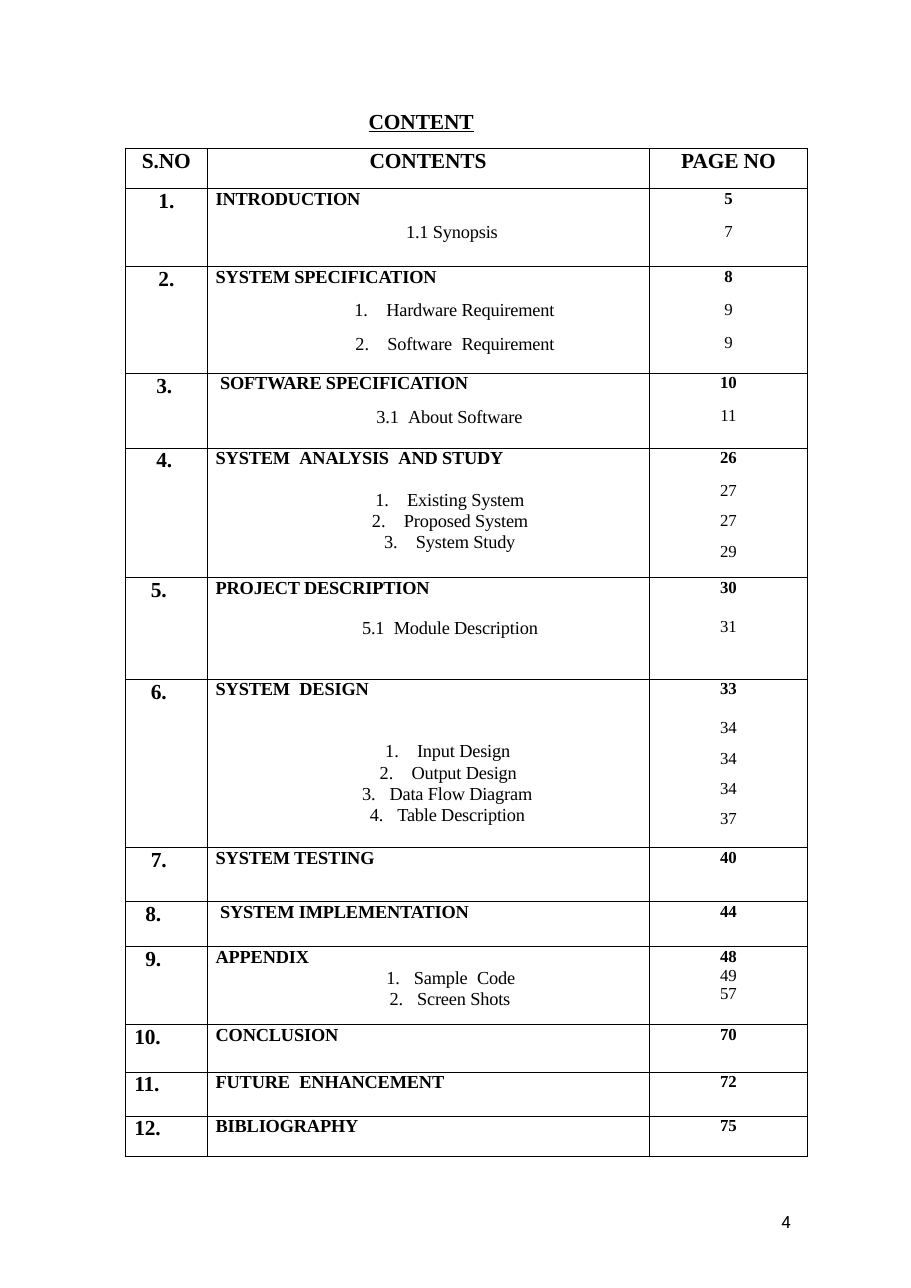
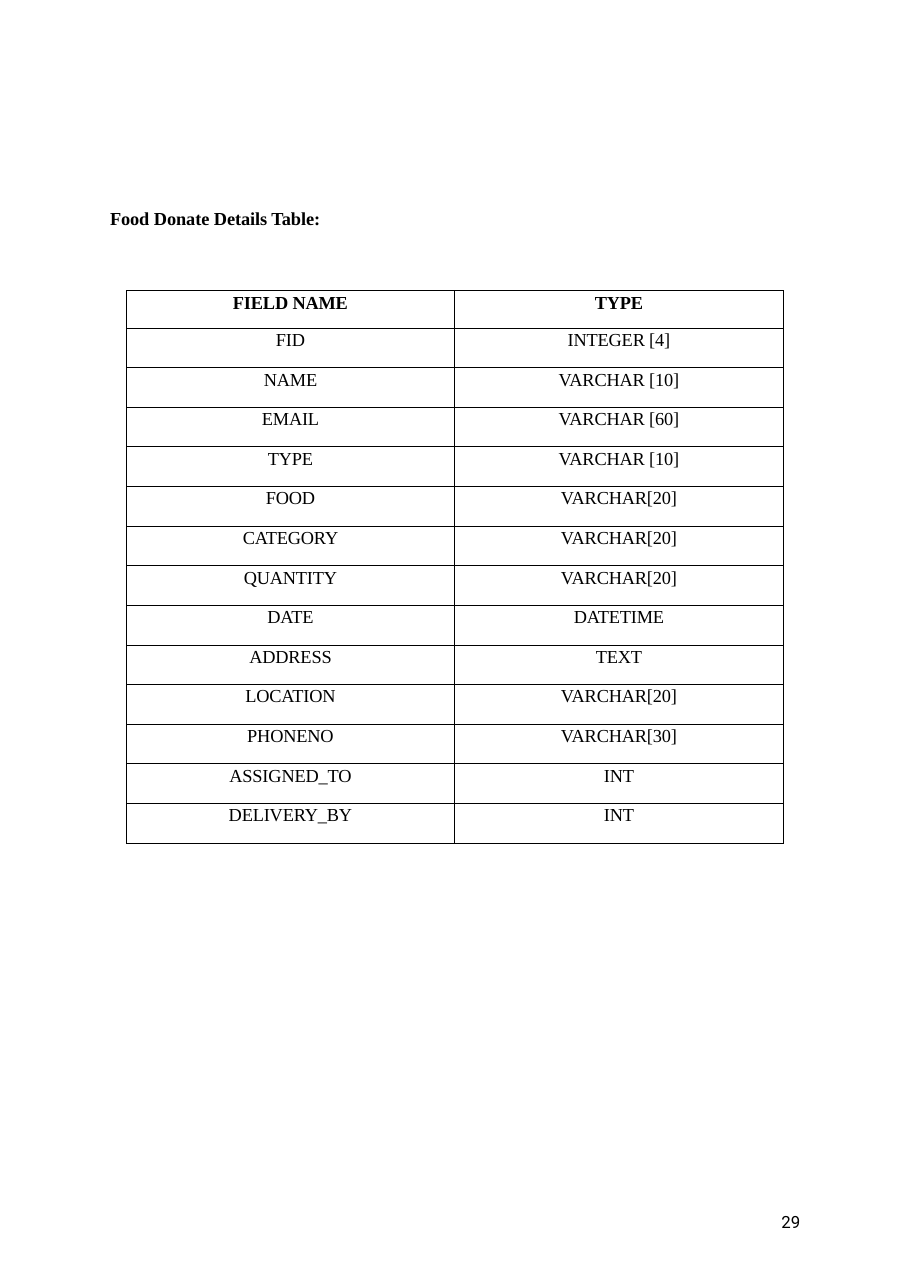
from dataclasses import dataclass, replace
from itertools import product

from lxml.etree import SubElement
from pptx import Presentation
from pptx.dml.color import RGBColor
from pptx.enum.text import MSO_AUTO_SIZE, PP_ALIGN
from pptx.oxml import parse_xml
from pptx.oxml.ns import qn
from pptx.slide import Slide
from pptx.table import _Cell
from pptx.text.text import TextFrame, _Paragraph, _Run
from pptx.util import Inches, Pt


@dataclass(frozen=True)
class Style:
    size: float
    bold: bool = False
    underline: bool = False
    font: str = "Times New Roman"
    tracking: float = -0.1


@dataclass(frozen=True)
class Theme:
    ink: RGBColor = RGBColor(0, 0, 0)
    paper: RGBColor = RGBColor(255, 255, 255)
    border: float = 0.5
    wide_gap: float = 3
    title: Style = Style(14, True, True)
    subtitle: Style = Style(12, True, tracking=-0.05)
    chapter: Style = Style(14, True)
    heading: Style = Style(12, True)
    body: Style = Style(12)
    page: Style = Style(11)
    main_page: Style = Style(11, True)
    footer: Style = Style(11, font="Roboto", tracking=0)


THEME = Theme()
GAP_MARK = "~"


@dataclass(frozen=True)
class Line:
    text: str
    style: Style = THEME.body
    indent: float = 0
    hanging: float = 0
    before: float = 0
    leading: float | None = None
    centred: bool = False


@dataclass(frozen=True)
class Box:
    left: float
    top: float
    width: float
    height: float


@dataclass(frozen=True)
class Grid:
    left: float
    top: float
    columns: tuple[float, ...]
    rows: tuple[float, ...]
    inset: float = 0


@dataclass(frozen=True)
class Chapter:
    title: str
    height: float
    number_indent: float
    page: str
    title_indent: float = 0.08
    sections: tuple[Line, ...] = ()
    section_pages: tuple[tuple[str, float], ...] = ()


Cell = list[Line]


def section(text: str, indent: float, before: float = 0,
            hanging: float = 0, leading: float | None = None) -> Line:
    return Line(text, THEME.body, indent, hanging, before, leading)


CHAPTERS = (
    Chapter("INTRODUCTION", 0.71, 0.3, "5",
            sections=(section("1.1 Synopsis", 1.81, 8.7),),
            section_pages=(("7", 9.3),)),
    Chapter("SYSTEM SPECIFICATION", 0.97, 0.3, "8",
            sections=(section("Hardware Requirement", 1.63, 8.6, 0.29),
                      section("Software~Requirement", 1.64, 8.6, 0.29)),
            section_pages=(("9", 9.3), ("9", 9.3))),
    Chapter("SOFTWARE SPECIFICATION", 0.68, 0.28, "10", 0.12,
            sections=(section("3.1~About Software", 1.54, 8.4),),
            section_pages=(("11", 9.2),)),
    Chapter("SYSTEM~ANALYSIS~AND STUDY", 1.18, 0.28, "26",
            sections=(section("Existing System", 1.82, 13, 0.29, 14.1),
                      section("Proposed System", 1.79, 0, 0.29, 13.8),
                      section("System Study", 1.9, 0, 0.29, 14.1)),
            section_pages=(("27", 9.3), ("27", 7.5), ("29", 7.5))),
    Chapter("PROJECT DESCRIPTION", 0.92, 0.23, "30",
            sections=(section("5.1~Module Description", 1.41, 13),),
            section_pages=(("31", 13.3),)),
    Chapter("SYSTEM~DESIGN", 1.53, 0.23, "33",
            sections=(section("Input Design", 1.91, 26.5, 0.29, 14.1),
                      section("Output Design", 1.86, 0, 0.29, 13.8),
                      section("Data Flow Diagram", 1.66, 0, 0.25, 13.8),
                      section("Table Description", 1.73, 0, 0.25, 14.1)),
            section_pages=(("34", 13.3), ("34", 7.5), ("34", 7.5), ("37", 7.5))),
    Chapter("SYSTEM TESTING", 0.49, 0.23, "40"),
    Chapter("SYSTEM IMPLEMENTATION", 0.41, 0.18, "44", 0.12),
    Chapter("APPENDIX", 0.71, 0.18, "48",
            sections=(section("Sample~Code", 1.88, 0, 0.25, 13.8),
                      section("Screen Shots", 1.91, 0, 0.25, 14.1)),
            section_pages=(("49", 0), ("57", 0))),
    Chapter("CONCLUSION", 0.43, 0.08, "70"),
    Chapter("FUTURE~ENHANCEMENT", 0.4, 0.08, "72"),
    Chapter("BIBLIOGRAPHY", 0.37, 0.08, "75"),
)

FIELDS = (
    ("FIELD NAME", "TYPE"),
    ("FID", "INTEGER [4]"),
    ("NAME", "VARCHAR [10]"),
    ("EMAIL", "VARCHAR [60]"),
    ("TYPE", "VARCHAR [10]"),
    ("FOOD", "VARCHAR[20]"),
    ("CATEGORY", "VARCHAR[20]"),
    ("QUANTITY", "VARCHAR[20]"),
    ("DATE", "DATETIME"),
    ("ADDRESS", "TEXT"),
    ("LOCATION", "VARCHAR[20]"),
    ("PHONENO", "VARCHAR[30]"),
    ("ASSIGNED_TO", "INT"),
    ("DELIVERY_BY", "INT"),
)


def format_run(run: _Run, style: Style) -> None:
    font = run.font
    font.name, font.size = style.font, Pt(style.size)
    font.bold, font.underline = style.bold, style.underline
    font.color.rgb = THEME.ink
    run._r.get_or_add_rPr().set("spc", str(round(style.tracking * 100)))


def write_line(paragraph: _Paragraph, line: Line) -> None:
    first, *others = line.text.split(GAP_MARK)
    paragraph.text = first
    format_run(paragraph.runs[0], line.style)
    for words in others:
        for text, tracking in ((" ", THEME.wide_gap), (words, line.style.tracking)):
            run = paragraph.add_run()
            run.text = text
            format_run(run, replace(line.style, tracking=tracking))
    paragraph.alignment = PP_ALIGN.CENTER if line.centred else PP_ALIGN.LEFT
    paragraph.space_before = Pt(line.before)
    if line.leading:
        paragraph.line_spacing = Pt(line.leading)
    properties = paragraph._p.get_or_add_pPr()
    properties.set("marL", str(Inches(line.indent)))
    properties.set("indent", str(-Inches(line.hanging)))
    if line.hanging:
        paragraph.level = 1
        SubElement(properties, qn("a:buAutoNum"), type="arabicPeriod")


def write_lines(frame: TextFrame, lines: Cell) -> None:
    for index, line in enumerate(lines):
        write_line(frame.paragraphs[0] if index == 0 else frame.add_paragraph(), line)


def add_text(slide: Slide, box: Box, line: Line, inset: float = 0) -> None:
    frame = slide.shapes.add_textbox(
        Inches(box.left), Inches(box.top), Inches(box.width), Inches(box.height)
    ).text_frame
    frame.margin_left = frame.margin_right = frame.margin_bottom = 0
    frame.margin_top = Inches(inset)
    frame.word_wrap = True
    frame.auto_size = MSO_AUTO_SIZE.SHAPE_TO_FIT_TEXT
    write_lines(frame, [line])


def add_borders(cell: _Cell) -> None:
    properties = cell._tc.get_or_add_tcPr()
    for position, side in enumerate(("lnL", "lnR", "lnT", "lnB")):
        properties.insert(position, parse_xml(
            f'<a:{side} xmlns:a="http://schemas.openxmlformats.org/drawingml/2006/main" '
            f'w="{Pt(THEME.border)}"><a:solidFill><a:srgbClr val="{THEME.ink}"/>'
            f'</a:solidFill><a:prstDash val="solid"/></a:{side}>'))


def draw_table(slide: Slide, grid: Grid, contents: list[list[Cell]]) -> None:
    table = slide.shapes.add_table(
        len(grid.rows), len(grid.columns), Inches(grid.left), Inches(grid.top),
        Inches(sum(grid.columns)), Inches(sum(grid.rows))
    ).table
    table.first_row = table.horz_banding = False
    for column, width in zip(table.columns, grid.columns):
        column.width = Inches(width)
    for row, height in zip(table.rows, grid.rows):
        row.height = Inches(height)
    for row, column in product(range(len(grid.rows)), range(len(grid.columns))):
        cell = table.cell(row, column)
        cell.margin_left = cell.margin_right = cell.margin_bottom = 0
        cell.margin_top = Inches(grid.inset)
        cell.fill.background()
        add_borders(cell)
        write_lines(cell.text_frame, contents[row][column])


def add_page(deck: Presentation, number: int, title: Line, title_box: Box) -> Slide:
    slide = deck.slides.add_slide(deck.slide_layouts[6])
    slide.background.fill.solid()
    slide.background.fill.fore_color.rgb = THEME.paper
    add_text(slide, Box(7.06, 11.01, 0.25, 0.2),
             Line(str(number), THEME.footer, indent=0.04))
    add_text(slide, title_box, title, inset=0.01)
    return slide


def chapter_cells(number: int, chapter: Chapter) -> list[Cell]:
    return [
        [Line(f"{number}.", THEME.chapter, chapter.number_indent, leading=16.1)],
        [Line(chapter.title, THEME.heading, chapter.title_indent, leading=13.7),
         *chapter.sections],
        [Line(chapter.page, THEME.main_page, leading=12.8, centred=True),
         *(Line(page, THEME.page, before=before, centred=True)
           for page, before in chapter.section_pages)],
    ]


def build_contents(deck: Presentation) -> None:
    slide = add_page(deck, 4, Line("CONTENT", THEME.title, 0.01, before=1),
                     Box(3.34, 0.97, 0.98, 0.26))
    header = [
        [Line("S.NO", THEME.chapter, 0.15, leading=16.2)],
        [Line("CONTENTS", THEME.chapter, leading=16.2, centred=True)],
        [Line("PAGE NO", THEME.chapter, leading=16.2, centred=True)],
    ]
    grid = Grid(1.14, 1.35, (0.74, 4.02, 1.44),
                (0.36, *(chapter.height for chapter in CHAPTERS)))
    draw_table(slide, grid, [header, *(chapter_cells(number, chapter)
                                       for number, chapter in enumerate(CHAPTERS, 1))])


def build_food_details(deck: Presentation) -> None:
    slide = add_page(deck, 29,
                     Line("Food Donate Details Table:", THEME.subtitle, 0.01, before=1),
                     Box(0.99, 1.87, 1.96, 0.23))
    grid = Grid(1.15, 2.64, (2.98, 2.99), (0.34,) + (0.36,) * (len(FIELDS) - 1), 0.02)
    draw_table(slide, grid, [
        [[Line(text, THEME.body if index else THEME.heading, before=1.6, centred=True)]
         for text in field]
        for index, field in enumerate(FIELDS)])


def main() -> None:
    deck = Presentation()
    deck.slide_width = Pt(596)
    deck.slide_height = Pt(842.5)
    deck.element.sldSz.attrib.pop("type", None)
    build_contents(deck)
    build_food_details(deck)
    deck.save("out.pptx")


if __name__ == "__main__":
    main()
